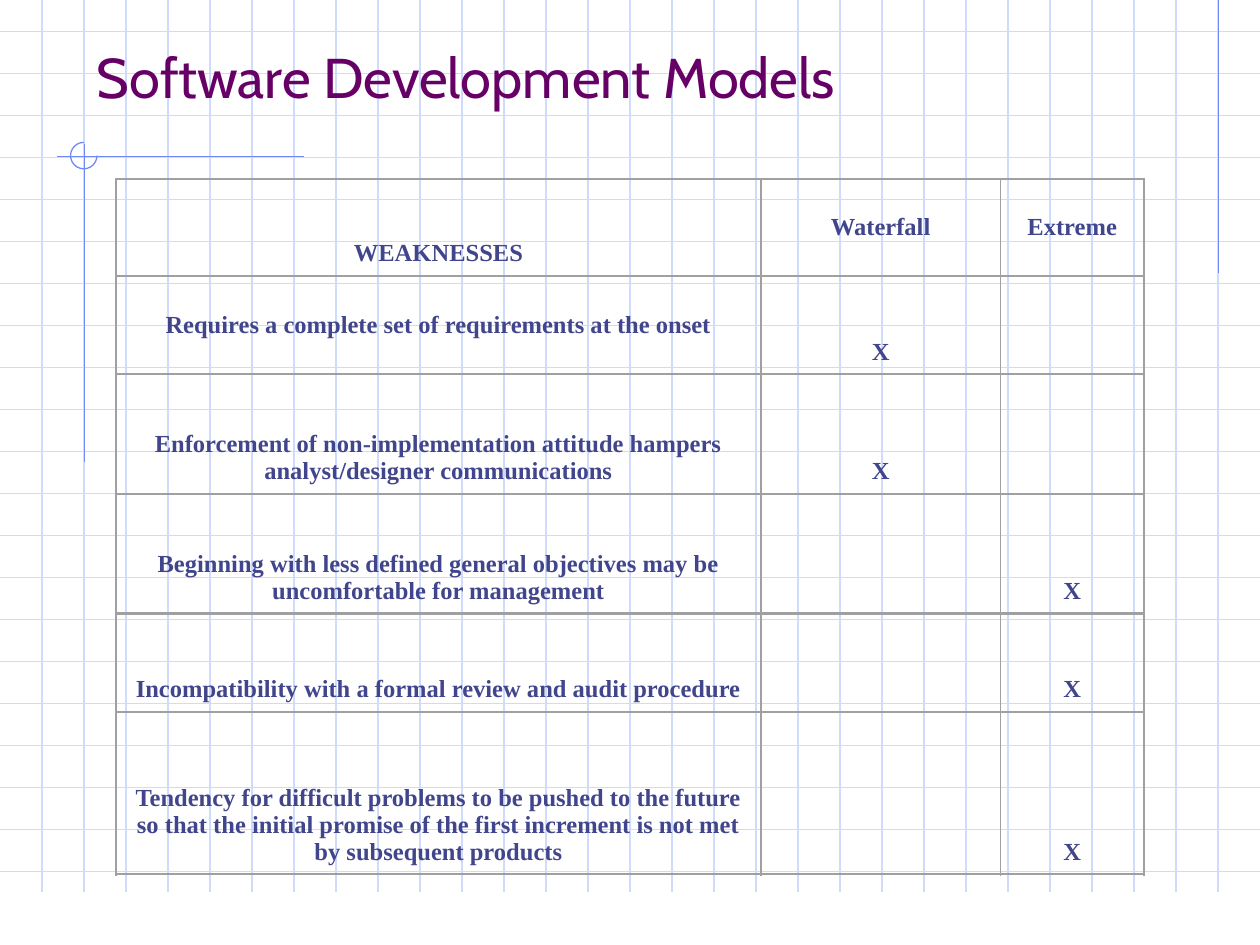
import pptx
import pptx.dml.color
import pptx.enum.shapes
import pptx.enum.text
import pptx.oxml.ns
import pptx.util
from lxml import etree

Inches = pptx.util.Inches
Pt = pptx.util.Pt
ANCHOR = pptx.enum.text.MSO_ANCHOR

GRID_COLOR = "CFDBFD"
ACCENT_COLOR = "6F89F7"
BORDER_COLOR = "A0A0A0"
TABLE_TEXT_COLOR = "40458C"
TITLE_COLOR = "660066"

COLUMN_WIDTHS = [5.12, 1.9, 1.14]
ROW_HEIGHTS = [0.77, 0.78, 0.95, 0.95, 0.78, 1.29]
WEAKNESS_ROWS = [
    ("WEAKNESSES", "Waterfall", "Extreme"),
    ("Requires a complete set of requirements at the onset", "X", ""),
    ("Enforcement of non-implementation attitude hampers "
     "analyst/designer communications", "X", ""),
    ("Beginning with less defined general objectives may be "
     "uncomfortable for management", "", "X"),
    ("Incompatibility with a formal review and audit procedure", "", "X"),
    ("Tendency for difficult problems to be pushed to the future so that the "
     "initial promise of the first increment is not met by subsequent products",
     "", "X"),
]
MIDDLE_CELLS = {(0, 1), (0, 2), (1, 0)}
NO_STYLE = "{2D5ABB26-0587-4C30-8999-92F81FD0307C}"


def rgb(hex_color):
    """Turn a hex string into a colour."""
    return pptx.dml.color.RGBColor.from_string(hex_color)


def add_line(slide, start, end, color):
    """Draw a thin straight line between two points in inches."""
    line = slide.shapes.add_connector(
        pptx.enum.shapes.MSO_CONNECTOR.STRAIGHT,
        *(Inches(value) for value in (*start, *end)))
    line.line.color.rgb = rgb(color)
    line.line.width = Pt(0.75)
    etree.SubElement(line._element.spPr, pptx.oxml.ns.qn("a:effectLst"))


def add_grid(slide):
    """Rule the background at three lines to the inch."""
    for index in range(21):
        y = 0.25 + index / 3
        add_line(slide, (0, y), (10, y), GRID_COLOR)
    for index in range(1, 30):
        add_line(slide, (index / 3, -0.42), (index / 3, 7.08), GRID_COLOR)


def add_accents(slide):
    """Draw the darker guide lines and the open circle where two cross."""
    add_line(slide, (9.67, -0.42), (9.67, 2.17), ACCENT_COLOR)
    add_line(slide, (2.41, 1.24), (0.45, 1.24), ACCENT_COLOR)
    add_line(slide, (0.67, 1.14), (0.67, 3.67), ACCENT_COLOR)
    circle = slide.shapes.add_shape(
        pptx.enum.shapes.MSO_SHAPE.ARC,
        Inches(0.56), Inches(1.13), Inches(0.21), Inches(0.21))
    circle.adjustments[0] = 0
    circle.adjustments[1] = 162
    circle.shadow.inherit = False
    circle.fill.background()
    circle.line.color.rgb = rgb(ACCENT_COLOR)
    circle.line.width = Pt(0.75)


def format_text(paragraph, font_name, size, color, bold=False):
    """Set the font of every run in a paragraph."""
    for run in paragraph.runs:
        run.font.name = font_name
        run.font.size = Pt(size)
        run.font.bold = bold
        run.font.color.rgb = rgb(color)


def add_title(slide, title):
    """Add the slide title."""
    heading = slide.shapes.add_textbox(
        Inches(0.67), Inches(0.28), Inches(8.5), Inches(0.64)).text_frame
    heading.word_wrap = True
    heading.vertical_anchor = ANCHOR.BOTTOM
    heading.text = title
    format_text(heading.paragraphs[0], "Cabin", 32, TITLE_COLOR)


def add_borders(cell):
    """Outline a cell, with heavier rules between rows."""
    properties = cell._tc.get_or_add_tcPr()
    for side, width in (("L", 1), ("R", 1), ("T", 1.5), ("B", 1.5)):
        border = etree.SubElement(
            properties, pptx.oxml.ns.qn(f"a:ln{side}"), w=str(Pt(width)))
        fill = etree.SubElement(border, pptx.oxml.ns.qn("a:solidFill"))
        etree.SubElement(fill, pptx.oxml.ns.qn("a:srgbClr"), val=BORDER_COLOR)


def fill_cell(cell, text, anchor):
    """Write centred bold text into a transparent, bordered cell."""
    add_borders(cell)
    cell.fill.background()
    cell.margin_left = cell.margin_right = Inches(0.12)
    cell.margin_top = cell.margin_bottom = Inches(0.07)
    cell.vertical_anchor = anchor
    cell.text = text
    paragraph = cell.text_frame.paragraphs[0]
    paragraph.alignment = pptx.enum.text.PP_ALIGN.CENTER
    format_text(paragraph, "Times New Roman", 14, TABLE_TEXT_COLOR, bold=True)


def add_weakness_table(slide):
    """Add the table of weaknesses by development model."""
    table = slide.shapes.add_table(
        len(ROW_HEIGHTS), len(COLUMN_WIDTHS), Inches(0.92), Inches(1.42),
        Inches(sum(COLUMN_WIDTHS)), Inches(sum(ROW_HEIGHTS))).table
    table.first_row = False
    table.horz_banding = False
    table._tbl.tblPr[0].text = NO_STYLE
    for column, width in zip(table.columns, COLUMN_WIDTHS):
        column.width = Inches(width)
    for row, height in zip(table.rows, ROW_HEIGHTS):
        row.height = Inches(height)
    for row_index, row_texts in enumerate(WEAKNESS_ROWS):
        for column_index, text in enumerate(row_texts):
            position = (row_index, column_index)
            anchor = ANCHOR.MIDDLE if position in MIDDLE_CELLS else ANCHOR.BOTTOM
            fill_cell(table.cell(*position), text, anchor)


def main():
    """Build the slide and save it."""
    deck = pptx.Presentation()
    deck.slide_width = Inches(10)
    deck.slide_height = Inches(7.5)
    slide = deck.slides.add_slide(deck.slide_layouts[6])
    add_grid(slide)
    add_accents(slide)
    add_title(slide, "Software Development Models")
    add_weakness_table(slide)
    deck.save("out.pptx")


if __name__ == "__main__":
    main()
